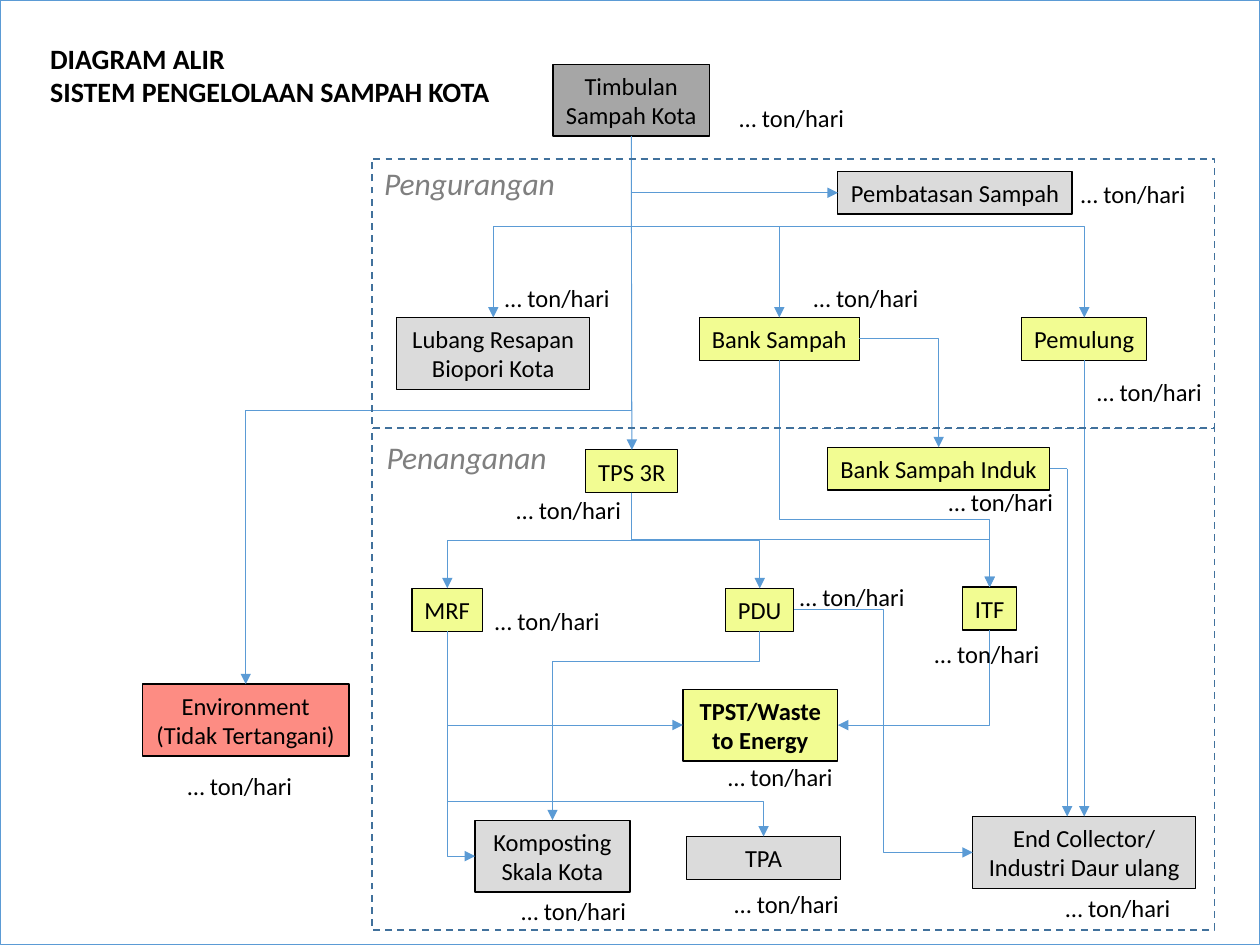
from lxml.etree import SubElement
from pptx import Presentation
from pptx.dml.color import RGBColor
from pptx.enum.dml import MSO_LINE_DASH_STYLE as DASH
from pptx.enum.shapes import MSO_CONNECTOR as CONNECTOR, MSO_SHAPE as SHAPE
from pptx.enum.text import MSO_ANCHOR as ANCHOR, MSO_AUTO_SIZE as AUTO_SIZE, PP_ALIGN as ALIGN
from pptx.oxml.ns import qn
from pptx.util import Inches, Pt

COLUMNS, ROWS = 100, 75
CELL = Inches(10) // COLUMNS
BLACK, WHITE, BLUE, NAVY = "000000", "FFFFFF", "5B9BD5", "41719C"
DARK, GREY, YELLOW, RED, MUTED = "A6A6A6", "DBDBDB", "F2FC92", "FD8C83", "7F7F7F"
TOP, LEFT, BOTTOM, RIGHT = range(4)
ONE_LINE, TWO_LINES = 3.4, 5.7

BOXES = {
    "source": ("Timbulan\nSampah Kota", 43.9, 5.1, 12.4, DARK),
    "main bank": ("Bank Sampah Induk", 65.7, 35.5, 17.6, YELLOW),
    "tps": ("TPS 3R", 46.5, 35.7, 7.3, YELLOW),
    "biopore": ("Lubang Resapan Biopori Kota", 31.5, 25.2, 15.3, GREY),
    "bank": ("Bank Sampah", 55.5, 25.2, 12.7, YELLOW),
    "limiting": ("Pembatasan Sampah", 66.5, 13.6, 18.6, GREY),
    "mrf": ("MRF", 32.7, 46.7, 5.6, YELLOW),
    "pdu": ("PDU", 57.6, 46.7, 5.4, YELLOW),
    "itf": ("ITF", 76.4, 46.6, 4.3, YELLOW),
    "energy": ("TPST/Waste to Energy", 54.2, 54.7, 12.3, YELLOW),
    "landfill": ("TPA", 54.5, 66.4, 12.2, GREY),
    "compost": ("Komposting Skala Kota", 37.7, 65.1, 12.3, GREY),
    "collector": ("End Collector/ Industri Daur ulang", 77.2, 64.8, 17.7, GREY),
    "environment": ("Environment\n(Tidak Tertangani)", 11.3, 54.3, 16.4, RED),
    "scavenger": ("Pemulung", 81.1, 25.2, 9.9, YELLOW),
}
WRAPPED = {"biopore", "energy", "compost", "collector"}

FLOWS = [
    ("source", BOTTOM, "biopore", TOP, 0.5),
    ("source", BOTTOM, "bank", TOP, 0.5),
    ("source", BOTTOM, "limiting", LEFT, None),
    ("source", BOTTOM, "scavenger", TOP, 0.5),
    ("source", BOTTOM, "environment", TOP, 0.5),
    ("tps", BOTTOM, "mrf", TOP, 0.5),
    ("tps", BOTTOM, "pdu", TOP, 0.5),
    ("tps", BOTTOM, "itf", TOP, 0.5),
    ("bank", BOTTOM, "itf", TOP, 0.7),
    ("bank", RIGHT, "main bank", TOP, None),
    ("pdu", BOTTOM, "compost", TOP, 0.16),
    ("pdu", RIGHT, "collector", LEFT, 0.5),
    ("mrf", BOTTOM, "energy", LEFT, None),
    ("mrf", BOTTOM, "landfill", TOP, 0.83),
    ("mrf", BOTTOM, "compost", LEFT, None),
    ("itf", BOTTOM, "energy", RIGHT, None),
]
STRAIGHT_FLOWS = [("scavenger", "collector"), ("source", "tps")]
MAIN_BANK_EXIT, MAIN_BANK_TURN, MAIN_BANK_END = (83.3, 37.2), (84.7, 37.2), (84.7, 64.8)

AMOUNT_SPOTS = [
    (84.8, 13.7), (13.9, 60.7), (57.7, 7.7), (39.1, 22), (63.6, 22),
    (86.1, 29.4), (40, 38.8), (74.3, 38.2), (73.2, 50.2), (62.5, 45.7),
    (38.3, 47.6), (56.8, 60), (83.6, 70.4), (57.3, 70.1), (40.4, 70.6),
]


def colour(value):
    """Turn a hex string into a colour."""
    return RGBColor.from_string(value)


def grid(*counts):
    """Turn counts of grid cells into lengths."""
    return [round(count * CELL) for count in counts]


def write(shape, text, size=14, ink=BLACK, align=ALIGN.LEFT, wrap=False, bold=False, italic=False):
    """Fill a shape with formatted text, one paragraph per line."""
    frame = shape.text_frame
    frame.word_wrap = wrap
    frame.auto_size = AUTO_SIZE.NONE
    frame.text = text
    for paragraph in frame.paragraphs:
        paragraph.alignment = align
        font = paragraph.font
        font.name, font.size, font.bold, font.italic = "Calibri", Pt(size), bold, italic
        font.color.rgb = colour(ink)


def add_rectangle(slide, column, row, width, height, fill=None, line=BLACK, weight=0.75, dash=None):
    """Add a rectangle placed on the grid."""
    shape = slide.shapes.add_shape(SHAPE.RECTANGLE, *grid(column, row, width, height))
    shape.shadow.inherit = False
    if fill:
        shape.fill.solid()
        shape.fill.fore_color.rgb = colour(fill)
    else:
        shape.fill.background()
    shape.line.color.rgb = colour(line)
    shape.line.width = Pt(weight)
    if dash:
        shape.line.dash_style = dash
    return shape


def add_box(slide, name):
    """Add one labelled step of the flow."""
    text, column, row, width, fill = BOXES[name]
    wrap = name in WRAPPED
    height = TWO_LINES if wrap or "\n" in text else ONE_LINE
    shape = add_rectangle(slide, column, row, width, height, fill)
    frame = shape.text_frame
    frame.vertical_anchor = ANCHOR.MIDDLE
    if not wrap:
        frame.margin_left = frame.margin_right = Inches(0.03)
    write(shape, text, align=ALIGN.CENTER, wrap=wrap, bold=name == "energy")
    return shape


def add_label(slide, text, column, row, width, height, **style):
    """Add a text box placed on the grid."""
    write(slide.shapes.add_textbox(*grid(column, row, width, height)), text, **style)


def add_line(slide, kind=CONNECTOR.STRAIGHT, start=(0, 0), end=(0, 0), head=True):
    """Add a thin blue connector between two grid points."""
    connector = slide.shapes.add_connector(kind, *grid(*start, *end))
    connector.line.color.rgb = colour(BLUE)
    connector.line.width = Pt(0.5)
    properties = connector.element.spPr
    if head:
        SubElement(properties.find(qn("a:ln")), qn("a:tailEnd"), type="triangle")
    SubElement(properties, qn("a:effectLst"))
    return connector


def add_arrow(slide, kind, start, start_side, end, end_side):
    """Join two boxes with an arrow."""
    connector = add_line(slide, kind)
    connector.begin_connect(start, start_side)
    connector.end_connect(end, end_side)
    return connector


def add_elbow(slide, start, start_side, end, end_side, bend):
    """Join two boxes with a bent arrow; bend is None for a single corner."""
    connector = add_arrow(slide, CONNECTOR.ELBOW, start, start_side, end, end_side)
    properties = connector.element.spPr
    geometry = properties.find(qn("a:prstGeom"))
    if bend is None:
        geometry.set("prst", "bentConnector2")
    else:
        guides = geometry.find(qn("a:avLst"))
        SubElement(guides, qn("a:gd"), name="adj1", fmla=f"val {round(bend * 100000)}")
    if start_side == BOTTOM:
        across = connector.end_x - connector.begin_x
        down = connector.end_y - connector.begin_y
        centre_x = connector.begin_x + across // 2
        centre_y = connector.begin_y + down // 2
        connector.width, connector.height = down, abs(across)
        connector.left, connector.top = centre_x - down // 2, centre_y - abs(across) // 2
        connector.rotation = 270 if across > 0 else 90
        properties.xfrm.flipH = across > 0
        properties.xfrm.flipV = False


def main():
    """Build the waste flow diagram."""
    presentation = Presentation()
    presentation.slide_width, presentation.slide_height = grid(COLUMNS, ROWS)
    slide = presentation.slides.add_slide(presentation.slide_layouts[6])
    add_rectangle(slide, 0, 0, COLUMNS, ROWS, WHITE, BLUE, 0.5)
    boxes = {name: add_box(slide, name) for name in BOXES}
    for start, start_side, end, end_side, bend in FLOWS:
        add_elbow(slide, boxes[start], start_side, boxes[end], end_side, bend)
    for start, end in STRAIGHT_FLOWS:
        add_arrow(slide, CONNECTOR.STRAIGHT, boxes[start], BOTTOM, boxes[end], TOP)
    branch = add_line(slide, start=MAIN_BANK_EXIT, end=MAIN_BANK_TURN, head=False)
    branch.begin_connect(boxes["main bank"], RIGHT)
    add_line(slide, start=MAIN_BANK_TURN, end=MAIN_BANK_END)
    for row, height in ((12.6, 21.4), (34, 39.8)):
        add_rectangle(slide, 29.5, row, 66.9, height, line=NAVY, weight=1, dash=DASH.DASH)
    add_label(slide, "Pengurangan", 29.5, 12.5, 15.6, 4, size=18, ink=MUTED, italic=True)
    add_label(slide, "Penanganan", 29.7, 34.3, 14.7, 4, size=18, ink=MUTED, italic=True)
    add_label(slide, "DIAGRAM ALIR\nSISTEM PENGELOLAAN SAMPAH KOTA", 3, 2.8, 37.4, 6.4, size=16, bold=True)
    for column, row in AMOUNT_SPOTS:
        add_label(slide, "… ton/hari", column, row, 10.3, ONE_LINE)
    presentation.save("out.pptx")


if __name__ == "__main__":
    main()
